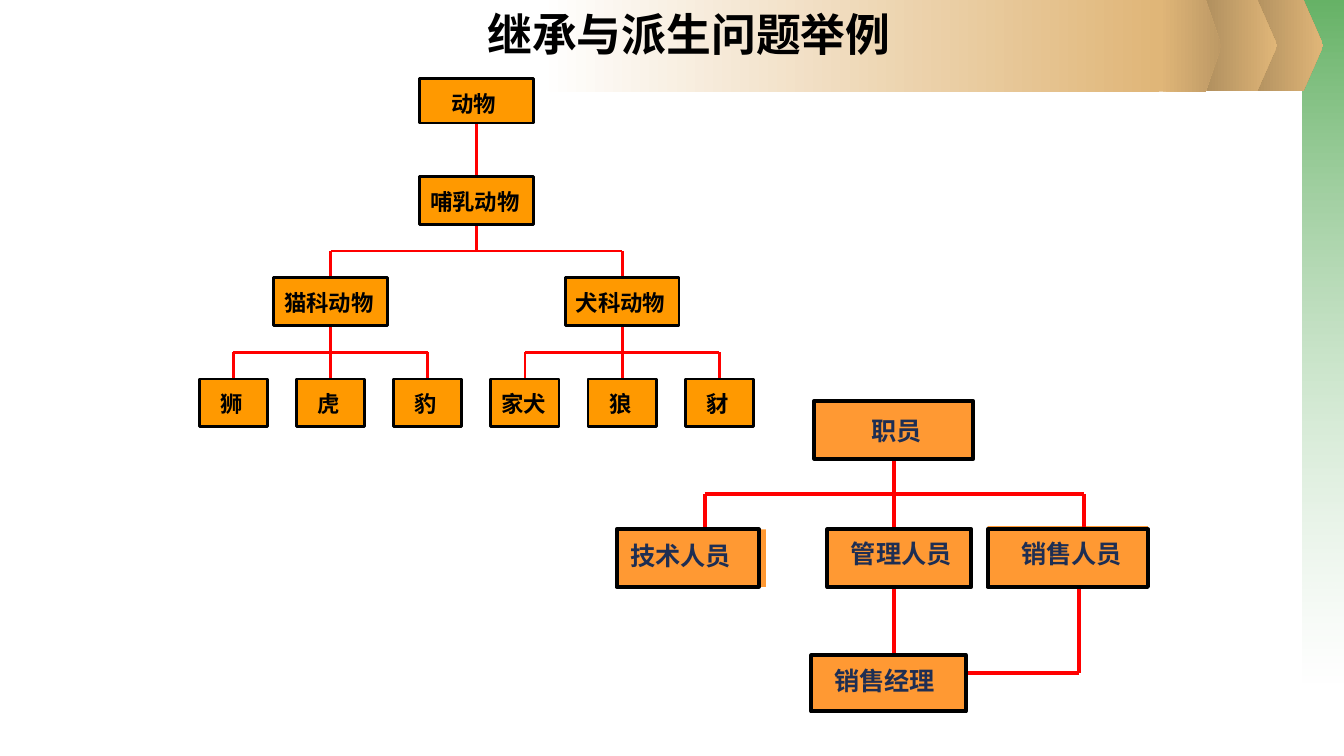
from dataclasses import dataclass, field

from lxml.etree import SubElement
from pptx import Presentation
from pptx.dml.color import RGBColor
from pptx.enum.shapes import MSO_CONNECTOR, MSO_SHAPE
from pptx.enum.text import MSO_ANCHOR, PP_ALIGN
from pptx.oxml.ns import qn
from pptx.shapes.autoshape import Shape
from pptx.slide import Slide
from pptx.text.text import TextFrame
from pptx.util import Cm, Pt


@dataclass(frozen=True)
class Theme:
    title_color: str = "000000"
    outline: str = "000000"
    link: str = "FF0000"
    white: str = "FFFFFF"
    green: str = "339933"
    sand: str = "E0B678"
    sand_shade: str = "BD9965"
    sand_dark: str = "AB8B5C"
    title_size: float = 32
    latin_font: str = "Arial"
    chinese_font: str = "Noto Sans CJK SC"


THEME = Theme()


@dataclass(frozen=True)
class TreeStyle:
    fill: str
    text_color: str
    text_size: float
    line_width: float
    font: str


ANIMAL = TreeStyle("FF9900", "000000", 16, 2, THEME.latin_font)
ANIMAL_ROOT = TreeStyle("FF9900", "000000", 16, 2, THEME.chinese_font)
STAFF = TreeStyle("FF9933", "1E2E53", 18, 2.88, THEME.chinese_font)


@dataclass(frozen=True)
class Band:
    """A gradient panel of the background; opacities are in percent."""
    kind: MSO_SHAPE
    left: float
    width: float
    height: float
    start: str
    end: str
    angle: float = 0
    opacities: tuple[int, int] = (100, 100)


@dataclass(frozen=True)
class Node:
    """A class in a tree; joint is the x where its links meet it, lengths in cm."""
    label: str
    left: float
    top: float
    width: float
    height: float
    joint: float
    style: TreeStyle
    shift_x: float = 0
    shift_y: float = 0
    children: list["Node"] = field(default_factory=list)

    @property
    def bottom(self) -> float:
        return self.top + self.height


BANDS = [
    Band(MSO_SHAPE.RECTANGLE, 32.82, 1.04, 17.2, THEME.green, THEME.white, 270, (75, 37)),
    Band(MSO_SHAPE.PENTAGON, 31.34, 2.01, 2.29, THEME.sand_dark, THEME.sand),
    Band(MSO_SHAPE.PENTAGON, 30.18, 2.01, 2.29, THEME.sand_dark, THEME.sand),
    Band(MSO_SHAPE.RECTANGLE, 13.61, 15.6, 2.31, THEME.white, THEME.sand),
    Band(MSO_SHAPE.PENTAGON, 29.21, 1.57, 2.31, THEME.sand, THEME.sand_shade),
]

LEAF_START, LEAF_STEP, LEAF_WIDTH = 5.88, 2.45, 1.72
FAMILY_WIDTH = 2.87
MAMMAL_TOP, ROW_STEP, ROW_HEIGHT = 4.45, 2.55, 1.2
FAMILIES = {"猫科动物": ["狮", "虎", "豹"], "犬科动物": ["家犬", "狼", "豺"]}


def animal(label: str, center: float, row: int, width: float, children: list[Node]) -> Node:
    return Node(label, center - width / 2, MAMMAL_TOP + row * ROW_STEP, width, ROW_HEIGHT,
                center, ANIMAL, -0.04, 0.02, children)


def middle(nodes: list[Node]) -> float:
    return (nodes[0].joint + nodes[-1].joint) / 2


def animal_tree() -> Node:
    families = []
    for index, (family, names) in enumerate(FAMILIES.items()):
        first = index * len(names)
        leaves = [animal(name, LEAF_START + (first + place) * LEAF_STEP, 2, LEAF_WIDTH, [])
                  for place, name in enumerate(names)]
        families.append(animal(family, middle(leaves), 1, FAMILY_WIDTH, leaves))
    center = middle(families)
    mammal = animal("哺乳动物", center, 0, FAMILY_WIDTH, families)
    return Node("动物", center - FAMILY_WIDTH / 2, 1.98, FAMILY_WIDTH, 1.12, center,
                ANIMAL_ROOT, -0.07, 0.06, [mammal])


STAFF_CENTER, STAFF_REACH = 22.54, 4.78
STAFF_TOP, STAFF_HEIGHT = 13.34, 1.45


def staff_tree() -> Node:
    sales_manager = Node("销售经理", 20.45, 16.51, 3.89, 1.42, STAFF_CENTER, STAFF, -0.1, -0.08)
    technician = Node("技术人员", 15.54, STAFF_TOP, 3.58, STAFF_HEIGHT,
                      STAFF_CENTER - STAFF_REACH, STAFF, -0.18, -0.08)
    manager = Node("管理人员", 20.85, STAFF_TOP, 3.63, STAFF_HEIGHT,
                   STAFF_CENTER, STAFF, 0.05, -0.11, [sales_manager])
    seller = Node("销售人员", 24.89, STAFF_TOP, 4.04, STAFF_HEIGHT,
                  STAFF_CENTER + STAFF_REACH, STAFF, 0.1, -0.13)
    return Node("职员", 20.52, 10.11, 4.01, STAFF_HEIGHT, STAFF_CENTER, STAFF, 0.08, 0.01,
                [technician, manager, seller])


def write(frame: TextFrame, text: str, font: str, size: float, color: str) -> None:
    frame.margin_left = frame.margin_right = frame.margin_top = frame.margin_bottom = 0
    frame.vertical_anchor = MSO_ANCHOR.MIDDLE
    frame.text = text
    para = frame.paragraphs[0]
    para.alignment = PP_ALIGN.CENTER
    span = para.runs[0].font
    span.name, span.size, span.bold = font, Pt(size), True
    span.color.rgb = RGBColor.from_string(color)


def add_panel(page: Slide, kind: MSO_SHAPE, left: float, top: float,
              width: float, height: float) -> Shape:
    panel = page.shapes.add_shape(kind, Cm(left), Cm(top), Cm(width), Cm(height))
    panel.shadow.inherit = False
    panel.line.fill.background()
    return panel


def add_plain_panel(page: Slide, left: float, top: float, width: float,
                    height: float, color: str) -> Shape:
    panel = add_panel(page, MSO_SHAPE.RECTANGLE, left, top, width, height)
    panel.fill.solid()
    panel.fill.fore_color.rgb = RGBColor.from_string(color)
    return panel


def draw_band(page: Slide, band: Band) -> None:
    panel = add_panel(page, band.kind, band.left, 0, band.width, band.height)
    if band.kind == MSO_SHAPE.PENTAGON:
        panel.adjustments[0] = 0.25
    panel.fill.gradient()
    panel.fill.gradient_angle = band.angle
    for stop, color, place in zip(panel.fill.gradient_stops, (band.start, band.end), (0, 1)):
        stop.color.rgb = RGBColor.from_string(color)
        stop.position = place
    colors = panel.fill._xPr.iter(qn("a:srgbClr"))
    for color, opacity in zip(list(colors), band.opacities):
        if opacity < 100:
            SubElement(color, qn("a:alpha")).set("val", str(opacity * 1000))


def draw_link(page: Slide, style: TreeStyle, *points: tuple[float, float]) -> None:
    """Join the points one after another with straight lines."""
    for (x1, y1), (x2, y2) in zip(points, points[1:]):
        link = page.shapes.add_connector(MSO_CONNECTOR.STRAIGHT, Cm(x1), Cm(y1), Cm(x2), Cm(y2))
        link.line.color.rgb = RGBColor.from_string(THEME.link)
        link.line.width = Pt(style.line_width)
        SubElement(link._element.spPr, qn("a:effectLst"))


def draw_node(page: Slide, node: Node) -> None:
    box = add_plain_panel(page, node.left, node.top, node.width, node.height, node.style.fill)
    box.line.color.rgb = RGBColor.from_string(THEME.outline)
    box.line.width = Pt(node.style.line_width)
    frame = box.text_frame
    write(frame, node.label, node.style.font, node.style.text_size, node.style.text_color)
    frame.word_wrap = False
    frame.margin_left, frame.margin_right = (Cm(max(0, 2 * sign * node.shift_x)) for sign in (1, -1))
    frame.margin_top, frame.margin_bottom = (Cm(max(0, 2 * sign * node.shift_y)) for sign in (1, -1))


def draw_tree(page: Slide, node: Node) -> None:
    """Draw the links below a node, its subtrees and then the node itself."""
    if len(node.children) == 1:
        child = node.children[0]
        draw_link(page, node.style, (node.joint, node.bottom), (child.joint, child.top))
    elif node.children:
        bus = (node.bottom + node.children[0].top) / 2
        draw_link(page, node.style, (node.joint, node.bottom), (node.joint, bus))
        for child in node.children:
            draw_link(page, node.style, (child.joint, bus), (child.joint, child.top))
        draw_link(page, node.style, (node.children[0].joint, bus), (node.children[-1].joint, bus))
    for child in node.children:
        draw_tree(page, child)
    draw_node(page, node)


def main() -> None:
    deck = Presentation()
    deck.slide_width, deck.slide_height = Cm(33.87), Cm(19.05)
    page = deck.slides.add_slide(deck.slide_layouts[6])
    for band in BANDS:
        draw_band(page, band)
    title = page.shapes.add_textbox(Cm(7.42), Cm(0), Cm(19.89), Cm(1.7))
    title.text_frame.word_wrap = True
    write(title.text_frame, "继承与派生问题举例", THEME.latin_font, THEME.title_size,
          THEME.title_color)
    draw_tree(page, animal_tree())
    add_plain_panel(page, 15.54, STAFF_TOP, 3.76, STAFF_HEIGHT, STAFF.fill)
    add_plain_panel(page, 24.89, 13.26, 4.04, STAFF_HEIGHT, STAFF.fill)
    draw_link(page, STAFF, (27.18, STAFF_TOP + STAFF_HEIGHT), (27.18, 16.97), (23.9, 16.97))
    draw_tree(page, staff_tree())
    deck.save("out.pptx")


if __name__ == "__main__":
    main()
